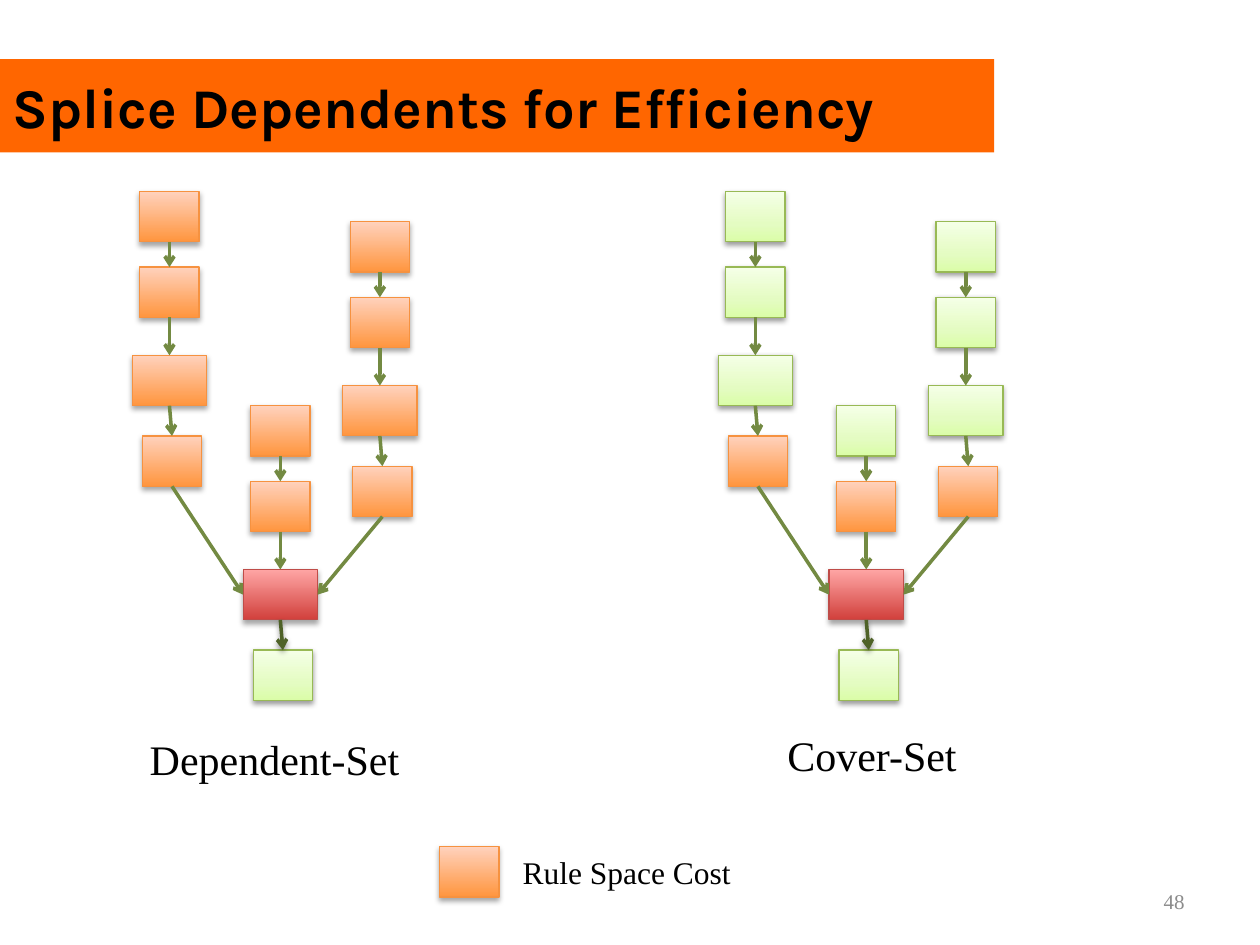
from lxml import etree
from pptx import Presentation
from pptx.dml.color import RGBColor
from pptx.enum.shapes import MSO_CONNECTOR, MSO_SHAPE
from pptx.enum.text import MSO_ANCHOR, PP_ALIGN
from pptx.oxml import parse_xml
from pptx.oxml.ns import nsdecls, qn
from pptx.util import Inches, Pt

COLORS = {"banner": "FF6600", "text": "000000", "number": "8C8C8C",
          "arrow": "738A42", "dark_arrow": "4F6228"}
STYLES = {
    "cost": {"stops": [(0, "FF953E"), (100, "FFD2BD")], "line": "F69240", "shadow": (35, 1.8)},
    "free": {"stops": [(0, "DAFDA7"), (35, "E4FCC2"), (100, "F5FFE7")], "line": "98B955",
             "shadow": (38, 1.6)},
    "target": {"stops": [(0, "D1403C"), (100, "FFA6A5")], "line": "BF4C48", "shadow": (35, 1.8)},
}
BOX_W, WIDE_W, BOX_H = 0.47, 0.59, 0.4
CHAIN = [(0.06, 0, BOX_W), (0.06, 0.6, BOX_W), (0, 1.3, WIDE_W), (0.08, 1.94, BOX_W)]
TOP, LEFT, BOTTOM, RIGHT = range(4)


def rgb(name):
    return RGBColor.from_string(COLORS.get(name, name))


def add_effects(shape, shadow=None):
    effects = etree.SubElement(shape._element.spPr, qn("a:effectLst"))
    if shadow:
        alpha, dist = shadow
        effects.append(parse_xml(
            f'<a:outerShdw {nsdecls("a")} blurRad="{Pt(3.1)}" dist="{Pt(dist)}" dir="5400000" '
            f'rotWithShape="0"><a:srgbClr val="000000"><a:alpha val="{alpha * 1000}"/>'
            '</a:srgbClr></a:outerShdw>'))


def add_rule(s, x, y, w, style):
    look = STYLES[style]
    rule = s.shapes.add_shape(MSO_SHAPE.RECTANGLE, Inches(x), Inches(y), Inches(w), Inches(BOX_H))
    stops = "".join(f'<a:gs pos="{pos * 1000}"><a:srgbClr val="{color}"/></a:gs>'
                    for pos, color in look["stops"])
    rule._element.spPr.append(parse_xml(
        f'<a:gradFill {nsdecls("a")} rotWithShape="1"><a:gsLst>{stops}</a:gsLst>'
        '<a:lin ang="16200000" scaled="0"/></a:gradFill>'))
    rule.line.color.rgb = rgb(look["line"])
    rule.line.width = Pt(0.75)
    add_effects(rule, look["shadow"])
    return rule


def add_arrow(s, start, end, site=TOP, color="arrow", shadow=None):
    arrow = s.shapes.add_connector(MSO_CONNECTOR.STRAIGHT, 0, 0, 0, 0)
    arrow.begin_connect(start, BOTTOM)
    arrow.end_connect(end, site)
    arrow.line.color.rgb = rgb(color)
    arrow.line.width = Pt(2)
    etree.SubElement(arrow.line._get_or_add_ln(), qn("a:tailEnd"), type="arrow")
    add_effects(arrow, shadow)


def add_chain(s, x, y, styles):
    rules = [add_rule(s, x + dx, y + dy, w, style)
             for (dx, dy, w), style in zip(CHAIN, styles)]
    for start, end, style in zip(rules, rules[1:], styles):
        if style == "target":
            add_arrow(s, start, end, color="dark_arrow", shadow=STYLES["free"]["shadow"])
        else:
            add_arrow(s, start, end)
    return rules


def add_tree(s, x, y, parents):
    middle = add_chain(s, x + 0.88, y + 1.7, [parents, "cost", "target", "free"])
    side_styles = [parents] * 3 + ["cost"]
    for dx, dy, site in [(1.67, 0.24, RIGHT), (0, 0, LEFT)]:
        side = add_chain(s, x + dx, y + dy, side_styles)
        add_arrow(s, side[-1], middle[2], site)


def format_text(tf, text, size, color="text", font="Times New Roman", bold=False,
                align=PP_ALIGN.LEFT):
    tf.text = text
    p = tf.paragraphs[0]
    p.alignment = align
    r = p.runs[0]
    r.font.name = font
    r.font.size = Pt(size)
    r.font.bold = bold
    r.font.color.rgb = rgb(color)


def add_label(s, x, y, w, h, text, size, anchor=MSO_ANCHOR.TOP, **style):
    tf = s.shapes.add_textbox(Inches(x), Inches(y), Inches(w), Inches(h)).text_frame
    tf.word_wrap = True
    tf.vertical_anchor = anchor
    format_text(tf, text, size, **style)


def add_title(s, x, y, w, h, text):
    title = s.shapes.title
    title.left, title.top, title.width, title.height = map(Inches, (x, y, w, h))
    title.fill.solid()
    title.fill.fore_color.rgb = rgb("banner")
    title.text_frame.vertical_anchor = MSO_ANCHOR.MIDDLE
    format_text(title.text_frame, text, 32, font="Karla", bold=True)


def add_legend(s, x, y):
    add_rule(s, x, y, BOX_W, "cost")
    add_label(s, x + 0.56, y, 2.1, BOX_H, "Rule Space Cost", 18)


def main():
    prs = Presentation()
    prs.slide_width, prs.slide_height = Inches(10), Inches(7.5)
    s = prs.slides.add_slide(prs.slide_layouts[5])
    add_title(s, 0, 0.47, 7.89, 0.74, "Splice Dependents for Efficiency")
    add_tree(s, 1.05, 1.52, "cost")
    add_tree(s, 5.7, 1.52, "free")
    add_label(s, 1.09, 5.77, 2.37, 0.5, "Dependent-Set", 24)
    add_label(s, 6.15, 5.74, 2.05, 0.5, "Cover-Set", 24)
    add_legend(s, 3.49, 6.72)
    add_label(s, 7.17, 6.95, 2.33, 0.4, "48", 12, MSO_ANCHOR.MIDDLE,
              color="number", align=PP_ALIGN.RIGHT)
    prs.save("out.pptx")


if __name__ == "__main__":
    main()
